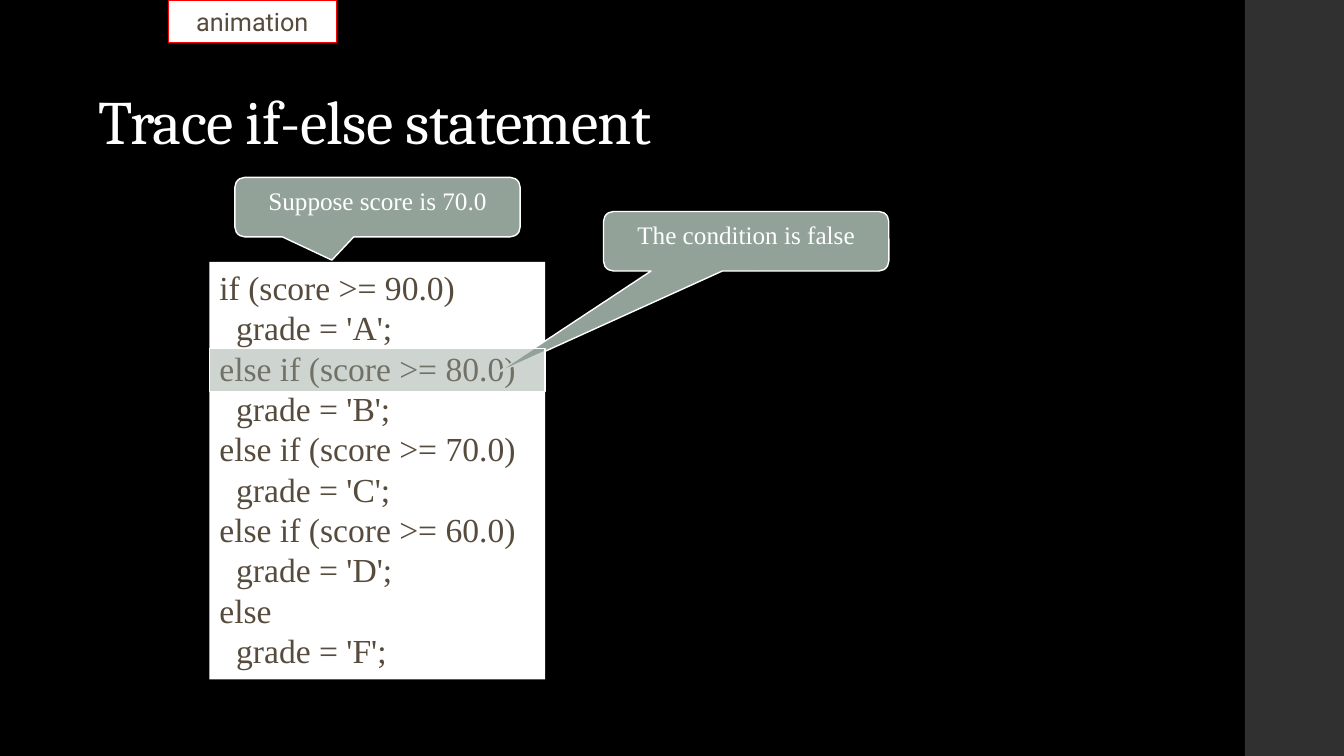
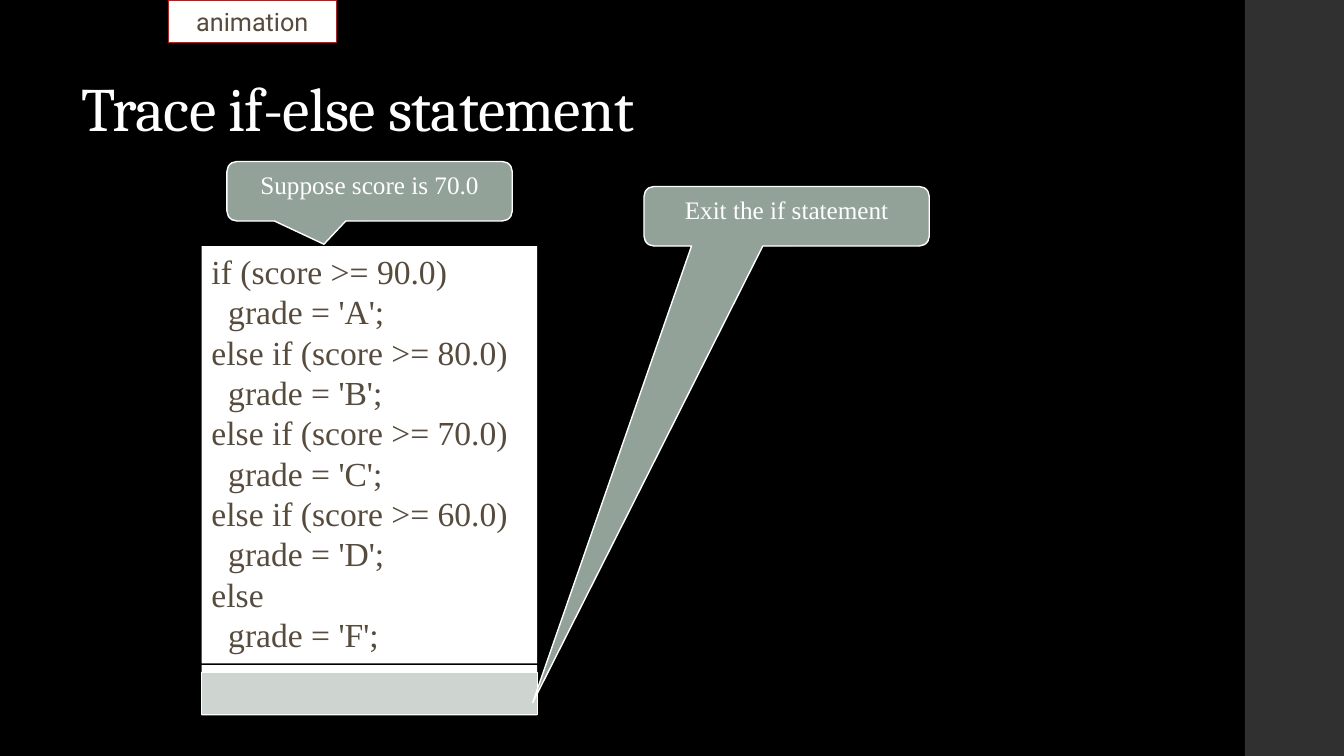
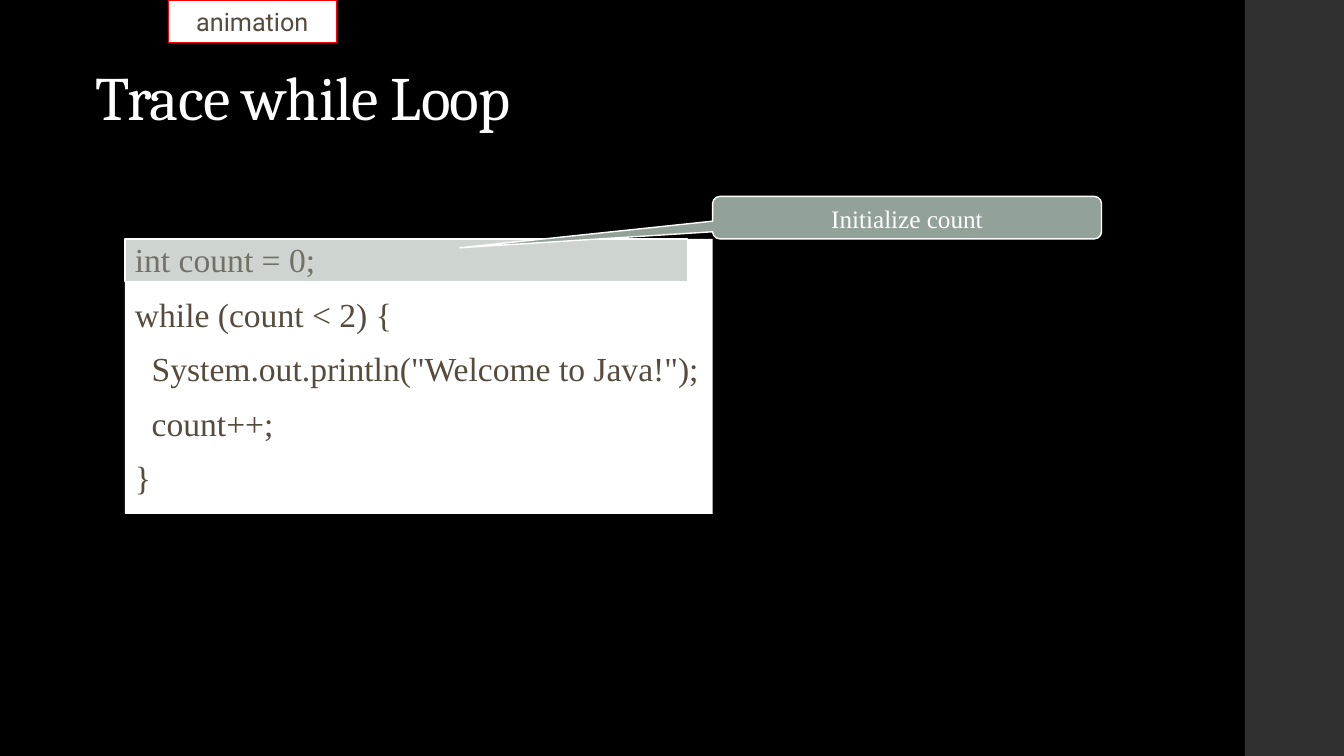
from lxml import etree
from pptx import Presentation
from pptx.dml import color
from pptx.enum import shapes, text
from pptx.oxml import ns
from pptx.util import Cm, Pt

BLACK, WHITE, RED = "000000", "FFFFFF", "FF0000"
BAND, SAGE, BROWN = "303030", "93A299", "564B3C"
SERIF, HEAD, SANS = "Times New Roman", "Cambria", "Roboto"
RECT = shapes.MSO_SHAPE.RECTANGLE
CALL = shapes.MSO_SHAPE.ROUNDED_RECTANGULAR_CALLOUT
LEFT, MID = text.PP_ALIGN.LEFT, text.PP_ALIGN.CENTER
TOP, CENTER = text.MSO_ANCHOR.TOP, text.MSO_ANCHOR.MIDDLE
ROW = 1.07
GRADES = """if (score >= 90.0)
  grade = 'A';
else if (score >= 80.0)
  grade = 'B';
else if (score >= 70.0)
  grade = 'C';
else if (score >= 60.0)
  grade = 'D';
else
  grade = 'F';"""
LOOP = """int count = 0;
while (count < 2) {
  System.out.println("Welcome to Java!");
  count++;
}"""


def rgb(code):
    return color.RGBColor.from_string(code)


def box(slide, area, fill, line=None, kind=RECT):
    shape = slide.shapes.add_shape(kind, *map(Cm, area))
    shape.shadow.inherit = False
    shape.fill.solid()
    shape.fill.fore_color.rgb = rgb(fill)
    if line:
        shape.line.color.rgb = rgb(line)
        shape.line.width = Pt(1)
    else:
        shape.line.fill.background()
    return shape


def write(shape, words, size, face, hue, align=LEFT, anchor=TOP, wrap=True):
    frame = shape.text_frame
    frame.text = words
    frame.word_wrap = wrap
    frame.vertical_anchor = anchor
    for para in frame.paragraphs:
        para.alignment = align
        for run in para.runs:
            run.font.size = Pt(size)
            run.font.name = face
            run.font.color.rgb = rgb(hue)
    return frame


def title(slide, words, area):
    shape = slide.shapes.add_textbox(*map(Cm, area))
    frame = write(shape, words, 44, HEAD, WHITE, anchor=text.MSO_ANCHOR.BOTTOM)
    para = frame.paragraphs[0]
    para.line_spacing = 0.9
    para.runs[0]._r.get_or_add_rPr().set("spc", "-50")


def code(slide, words, area):
    return write(box(slide, area, WHITE), words, 24, SERIF, BROWN)


def callout(slide, words, area, tip):
    shape = box(slide, area, SAGE, WHITE, CALL)
    shape.adjustments[0], shape.adjustments[1] = tip
    write(shape, words, 18, SERIF, WHITE, MID)


def mark(slide, x, y, width):
    shape = box(slide, (x, y, width, ROW), SAGE, WHITE)
    tint = shape.fill._xPr.find(ns.qn("a:solidFill"))[0]
    etree.SubElement(tint, ns.qn("a:alpha")).set("val", "45000")


def tag(slide):
    shape = box(slide, (4.24, 0, 4.24, ROW), WHITE, RED)
    write(shape, "animation", 18, SANS, BROWN, MID, CENTER, False)


def start(deck, words, area):
    slide = deck.slides.add_slide(deck.slide_layouts[6])
    slide.background.fill.solid()
    slide.background.fill.fore_color.rgb = rgb(BLACK)
    box(slide, (31.37, 0, 2.5, 19.05), BAND)
    title(slide, words, area)
    return slide


def grades(deck, x, y, left, top):
    slide = start(deck, "Trace if-else statement", (left, top, 22.22, 2.54))
    code(slide, GRADES, (x, y, 8.46, 10.52))
    callout(slide, "Suppose score is 70.0",
            (x + 0.64, y - 2.13, 7.19, 1.5), (-0.16, 0.89))
    return slide


def false(deck):
    slide = grades(deck, 5.28, 6.6, 2.24, 1.57)
    callout(slide, "The condition is false",
            (15.21, 5.33, 7.19, 1.5), (-0.88, 2.23))
    mark(slide, 5.28, 8.79, 8.46)
    tag(slide)


def leave(deck):
    slide = grades(deck, 5.08, 6.2, 1.8, 1.24)
    box(slide, (5.08, 16.76, 8.46, 1.27), WHITE)
    mark(slide, 5.08, 16.94, 8.46)
    callout(slide, "Exit the if statement",
            (16.23, 4.7, 7.19, 1.5), (-0.89, 8.17))
    tag(slide)


def loop(deck):
    slide = start(deck, "Trace while Loop", (2.16, 1.4, 21.59, 2.11))
    frame = code(slide, LOOP, (3.15, 6.02, 14.81, 6.93))
    for index, para in enumerate(frame.paragraphs):
        para.line_spacing = 0.9
        para.space_before = Pt(13 if index else 0)
    mark(slide, 3.15, 6.02, 14.17)
    callout(slide, "Initialize count",
            (17.96, 4.95, 9.8, ROW), (-1.15, 0.71))
    tag(slide)


def main():
    deck = Presentation()
    deck.slide_width, deck.slide_height = Cm(33.87), Cm(19.05)
    false(deck)
    leave(deck)
    loop(deck)
    deck.save("out.pptx")


if __name__ == "__main__":
    main()
